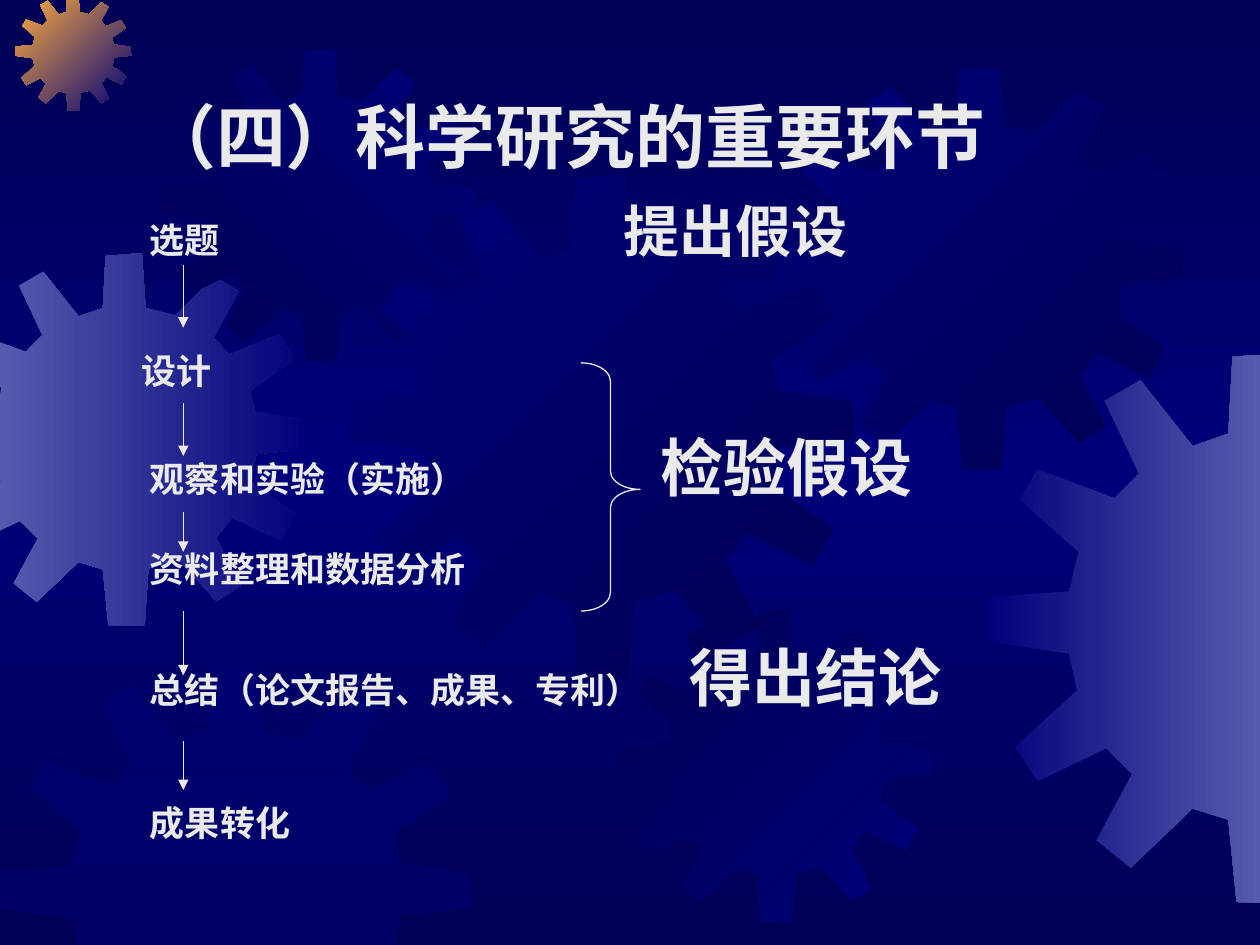
import copy
from dataclasses import dataclass

import pptx
import pptx.dml.color
import pptx.enum.shapes
import pptx.enum.text
import pptx.oxml
import pptx.oxml.ns
import pptx.util

CELL = pptx.util.Inches(0.1)  # the slide is a grid of 100 columns by 75 rows
COLUMNS, ROWS = 100, 75
qn = pptx.oxml.ns.qn


@dataclass(frozen=True)
class Theme:
    text: str = "EAEAEA"
    navy: str = "000054"
    blue: str = "00007A"
    mist: str = "555BAD"
    orange: str = "FCAB40"
    latin: str = "Arial"
    chinese: str = "Noto Sans CJK SC"
    title_size: int = 40
    step_size: int = 20
    line_width: float = 0.75


@dataclass(frozen=True)
class Box:
    left: float
    top: float
    width: float
    height: float

    def inner(self, left, top, width, height):
        return Box(self.left + left, self.top + top, width, height)

    def emu(self):
        return [cells(v) for v in (self.left, self.top, self.width, self.height)]


THEME = Theme()
PAGE = Box(0, 0, COLUMNS, ROWS)

# Twelve-toothed gear, drawn in a square of 401 units
GEAR_SIZE = 401
GEAR = [
    (255, 67), (223, 59), (219, 0), (180, 3), (177, 59), (151, 68), (113, 20), (87, 35),
    (112, 88), (94, 106), (38, 85), (25, 107), (68, 145), (61, 174), (1, 178), (0, 210),
    (61, 219), (67, 246), (22, 287), (38, 312), (88, 288), (107, 307), (81, 355), (106, 375),
    (151, 332), (177, 340), (183, 400), (222, 401), (226, 339), (259, 330), (299, 374), (325, 358),
    (299, 306), (316, 284), (368, 309), (384, 281), (336, 246), (342, 216), (401, 210), (400, 180),
    (341, 171), (335, 148), (383, 114), (367, 87), (313, 109), (296, 91), (323, 41), (297, 25),
]

# Left, top, size, first colour, last colour, clockwise angle
GEARS = [
    (-4.9, 20.1, 29.6, THEME.mist, THEME.blue, 0),
    (1.2, -0.4, 9.2, THEME.orange, THEME.blue, 45),
    (13, 3.9, 24.8, THEME.navy, THEME.blue, 315),
    (27.7, 13.9, 40.1, THEME.blue, THEME.navy, 45),
    (0, 52.5, 37.4, THEME.blue, None, 0),
    (49.1, 48.4, 24.8, THEME.navy, THEME.blue, 45),
    (61.8, 5.3, 32, THEME.blue, THEME.navy, 45),
    (78.2, 28, 43.7, THEME.blue, THEME.mist, 0),
]

# Step, its indent in columns, space before in points
STEPS = [
    ("选题", 0.7, 0),
    ("设计", 0, 55.7),
    ("观察和实验（实施）", 0.7, 42.5),
    ("资料整理和数据分析", 0.7, 32.2),
    ("总结（论文报告、成果、专利）", 0.7, 49.9),
    ("成果转化", 0.7, 56.8),
]
# Stage of the hypothesis, its size, column and row
STAGES = [
    ("提出假设", 32, 49.5, 15.3),
    ("检验假设", 36, 52.4, 34),
    ("得出结论", 36, 54.7, 50.7),
]
ARROW_ROWS = [(4.8, 9.8), (15.8, 20), (24.4, 27.6), (32.3, 37.4), (42.6, 46.5)]


def cells(count):
    return int(round(count * CELL))


def rgb(value):
    return pptx.dml.color.RGBColor.from_string(value)


def fill_gradient(fill, first, last, clockwise):
    fill.gradient()
    fill.gradient_angle = (360 - clockwise) % 360
    for stop, color in zip(fill.gradient_stops, (first, last)):
        stop.color.rgb = rgb(color)


def clip(points, axis, limit, sign):
    """Keep the part of a polygon on one side of a slide edge."""
    kept = []
    for start, end in zip(points, points[1:] + points[:1]):
        start_in, end_in = (sign * (p[axis] - limit) >= 0 for p in (start, end))
        if start_in:
            kept.append(start)
        if start_in != end_in:
            share = (limit - start[axis]) / (end[axis] - start[axis])
            kept.append(tuple(a + share * (b - a) for a, b in zip(start, end)))
    return kept


def add_background(slide):
    fill_gradient(slide.background.fill, THEME.navy, THEME.blue, 90)
    stops = slide.element.find(".//" + qn("a:gsLst"))
    stops.append(copy.deepcopy(stops[0]))
    for stop, position in zip(stops, (0, 50000, 100000)):
        stop.set("pos", str(position))


def add_gear(slide, box, first, last, clockwise):
    points = [(box.left + x * box.width / GEAR_SIZE, box.top + y * box.height / GEAR_SIZE)
              for x, y in GEAR]
    for axis, limit in ((0, COLUMNS), (1, ROWS)):
        points = clip(clip(points, axis, 0, 1), axis, limit, -1)
    outline = [(cells(x), cells(y)) for x, y in points]
    builder = slide.shapes.build_freeform(*outline[0])
    builder.add_line_segments(outline[1:])
    gear = builder.convert_to_shape()
    gear.shadow.inherit = False
    gear.line.fill.background()
    if last:
        fill_gradient(gear.fill, first, last, clockwise)
    else:
        gear.fill.solid()
        gear.fill.fore_color.rgb = rgb(first)
        color = gear.element.spPr.find(".//" + qn("a:srgbClr"))
        color.append(pptx.oxml.parse_xml(
            f'<a:alpha {pptx.oxml.ns.nsdecls("a")} val="50000"/>'))


def add_run(paragraph, text, size, latin):
    run = paragraph.add_run()
    run.text = text
    run.font.name, run.font.size, run.font.bold = latin, pptx.util.Pt(size), True
    run.font.color.rgb = rgb(THEME.text)
    run.font._element.append(pptx.oxml.parse_xml(
        f'<a:ea {pptx.oxml.ns.nsdecls("a")} typeface="{THEME.chinese}"/>'))


def place(slide, placeholder, box, anchor):
    placeholder.left, placeholder.top, placeholder.width, placeholder.height = box.emu()
    frame = placeholder.text_frame
    frame.word_wrap = True
    frame.auto_size = pptx.enum.text.MSO_AUTO_SIZE.NONE
    frame.vertical_anchor = anchor
    slide.shapes.element.append(placeholder.element)  # bring in front of the gears
    return frame


def add_title(slide, box):
    frame = place(slide, slide.shapes.title, box, pptx.enum.text.MSO_ANCHOR.BOTTOM)
    frame.paragraphs[0].alignment = pptx.enum.text.PP_ALIGN.LEFT
    add_run(frame.paragraphs[0], "（四）科学研究的重要环节", THEME.title_size, THEME.chinese)


def add_steps(slide, box):
    frame = place(slide, slide.placeholders[1], box, pptx.enum.text.MSO_ANCHOR.TOP)
    frame.margin_top = cells(1.8)
    for index, (step, indent, before) in enumerate(STEPS):
        paragraph = frame.add_paragraph() if index else frame.paragraphs[0]
        properties = paragraph._p.get_or_add_pPr()
        properties.set("marL", str(cells(indent)))
        properties.set("indent", "0")
        properties.append(pptx.oxml.parse_xml(f'<a:buNone {pptx.oxml.ns.nsdecls("a")}/>'))
        paragraph.line_spacing = 0.8
        paragraph.space_before = pptx.util.Pt(before)
        add_run(paragraph, step, THEME.step_size, THEME.latin)


def add_stage(slide, box, stage, size):
    label = slide.shapes.add_textbox(*box.emu())
    frame = label.text_frame
    frame.word_wrap = True
    frame.vertical_anchor = pptx.enum.text.MSO_ANCHOR.MIDDLE
    frame.margin_left = frame.margin_right = frame.margin_top = frame.margin_bottom = 0
    add_run(frame.paragraphs[0], stage, size, THEME.chinese)


def style_line(line):
    line.color.rgb = rgb(THEME.text)
    line.width = pptx.util.Pt(THEME.line_width)


def add_flow_marks(slide, box):
    # Brace that gathers the steps of testing the hypothesis
    brace = slide.shapes.add_shape(pptx.enum.shapes.MSO_SHAPE.RIGHT_BRACE,
                                   *box.inner(35.9, 12.6, 4.7, 19.7).emu())
    brace.shadow.inherit = False
    brace.fill.background()
    style_line(brace.line)
    brace.adjustments[0], brace.adjustments[1] = 0.31, 0.51

    # Arrows from each step to the next
    x = cells(box.left + 4.35)
    ns = pptx.oxml.ns.nsdecls("a")
    for start, end in ARROW_ROWS:
        arrow = slide.shapes.add_connector(pptx.enum.shapes.MSO_CONNECTOR.STRAIGHT,
                                           x, cells(box.top + start), x, cells(box.top + end))
        style_line(arrow.line)
        properties = arrow.element.spPr
        properties.find(qn("a:ln")).append(
            pptx.oxml.parse_xml(f'<a:tailEnd {ns} type="triangle"/>'))
        properties.append(pptx.oxml.parse_xml(f"<a:effectLst {ns}/>"))


def main():
    deck = pptx.Presentation()
    deck.slide_width, deck.slide_height = cells(PAGE.width), cells(PAGE.height)
    slide = deck.slides.add_slide(deck.slide_layouts[1])
    add_background(slide)
    for left, top, size, first, last, clockwise in GEARS:
        add_gear(slide, PAGE.inner(left, top, size, size), first, last, clockwise)
    steps = PAGE.inner(10.2, 16.2, 87.8, 52)
    add_steps(slide, steps)
    for stage, size, column, row in STAGES:
        add_stage(slide, PAGE.inner(column, row, 24, 6), stage, size)
    add_flow_marks(slide, steps)
    add_title(slide, PAGE.inner(10.6, 2.1, 85, 12.5))
    deck.save("out.pptx")


if __name__ == "__main__":
    main()
